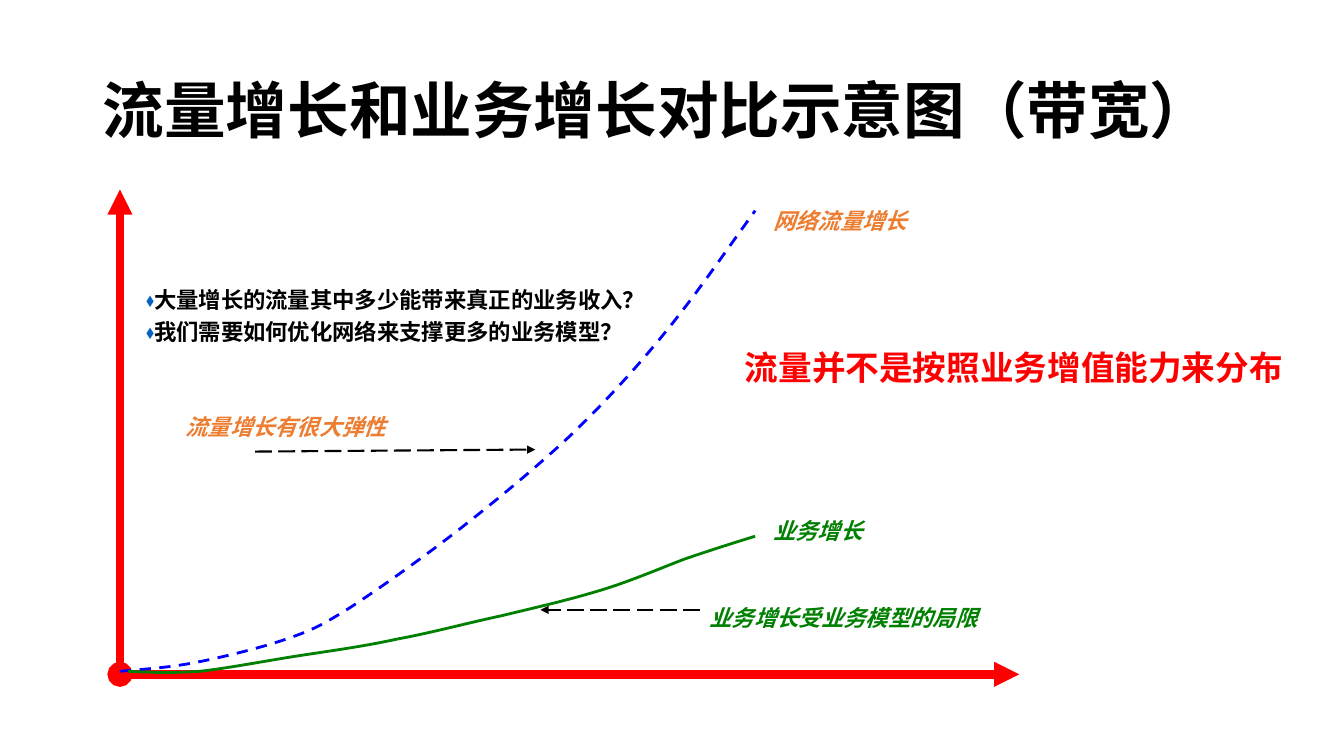
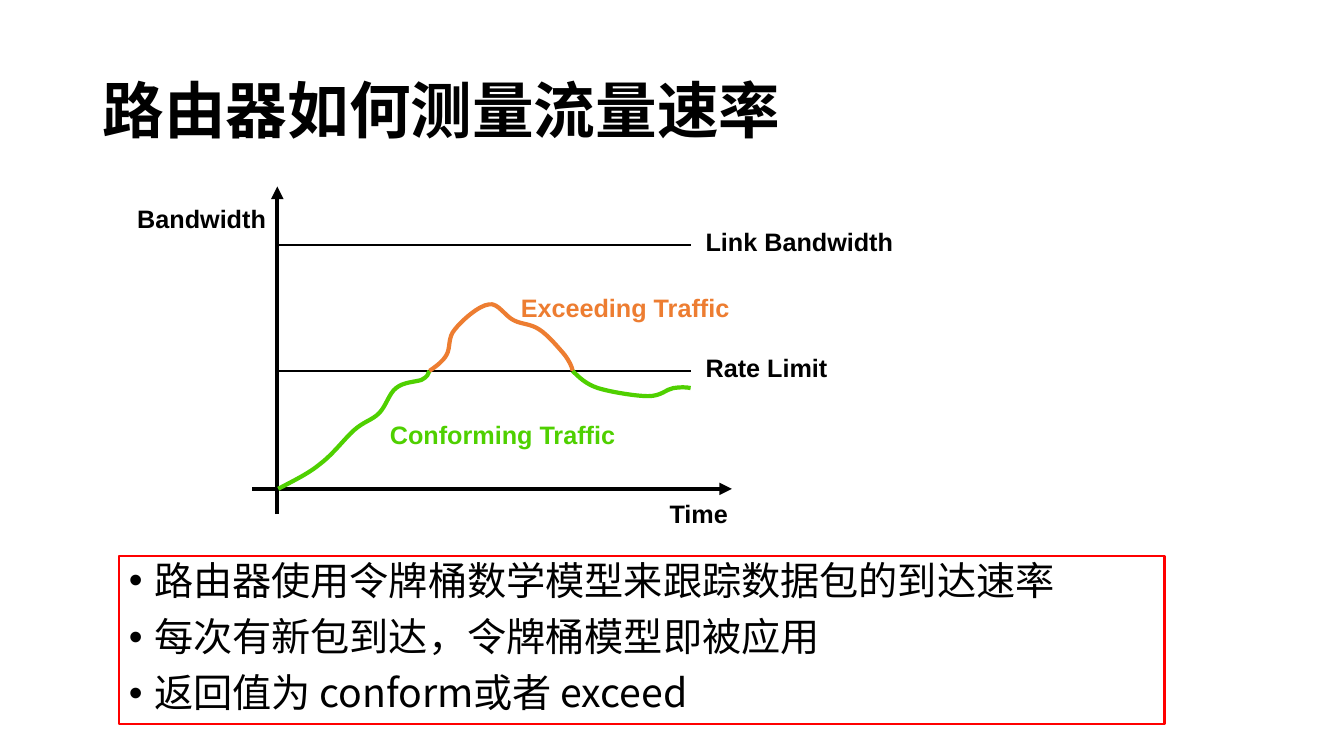
from dataclasses import dataclass
from typing import Any, Optional

import lxml.etree
import pptx
import pptx.dml.color
import pptx.enum.dml
import pptx.enum.shapes
import pptx.enum.text
import pptx.oxml.ns
import pptx.slide
import pptx.text.text
import pptx.util

# Shared scale, colours and text styles
PX = 9144  # EMU, 100 px to the inch
SLIDE_SIZE = (1333, 750)

BLACK, RED, ORANGE = "000000", "FF0000", "ED7D31"
BLUE, GREEN, LIME, BULLET_BLUE = "0000FF", "008000", "4FD000", "0563C1"
CJK, LATIN = "Noto Sans CJK SC", "Arial"

ALIGN = pptx.enum.text.PP_ALIGN
ANCHOR = pptx.enum.text.MSO_ANCHOR
FIT = pptx.enum.text.MSO_AUTO_SIZE
DASH = pptx.enum.dml.MSO_LINE


@dataclass(frozen=True)
class TextStyle:
    font: dict[str, Any]
    paragraph: dict[str, Any]


def text_style(name: str, size: int, bold: bool = True, italic: bool = False,
               **paragraph: Any) -> TextStyle:
    font = {"name": name, "size": pptx.util.Pt(size), "bold": bold, "italic": italic}
    return TextStyle(font, {"alignment": ALIGN.LEFT} | paragraph)


NOTE_SPACING = {"line_spacing": 0.9, "space_before": pptx.util.Pt(5.6)}
TITLE = text_style(CJK, 44, line_spacing=0.9)
NOTE = text_style(CJK, 16, italic=True, **NOTE_SPACING)
QUESTION = text_style(CJK, 16, **NOTE_SPACING)
MESSAGE = text_style(CJK, 24)
LABEL = text_style(LATIN, 18)
LABEL_CENTRED = text_style(LATIN, 18, alignment=ALIGN.CENTER)
POINT = text_style(CJK, 28, bold=False, line_spacing=0.9,
                   space_before=pptx.util.Pt(10))


@dataclass(frozen=True)
class Bullet:
    char: str
    color: str = BLACK
    percent: int = 100
    indent: int = 0


@dataclass(frozen=True)
class Label:
    box: tuple[int, int, int, int]
    lines: tuple[str, ...]
    style: TextStyle
    color: str = BLACK
    wrap: bool = False
    anchor: Any = ANCHOR.TOP
    fit: Any = FIT.SHAPE_TO_FIT_TEXT
    bullet: Optional[Bullet] = None
    border: Optional[str] = None


@dataclass(frozen=True)
class Stroke:
    color: str
    width: float
    dash: Any = None
    head: Optional[str] = None
    tail: Optional[str] = None


@dataclass(frozen=True)
class Line:
    start: tuple[int, int]
    end: tuple[int, int]
    stroke: Stroke


@dataclass(frozen=True)
class Curve:
    """A start point, then two control points and an end point per segment."""
    points: tuple[tuple[int, int], ...]
    stroke: Stroke


# Drawing helpers
def rgb(color: str) -> pptx.dml.color.RGBColor:
    return pptx.dml.color.RGBColor.from_string(color)


def emu(*lengths: int) -> list[int]:
    return [length * PX for length in lengths]


def set_all(target: Any, values: dict[str, Any]) -> None:
    for attribute, value in values.items():
        setattr(target, attribute, value)


def add_xml(parent: Any, tag: str, **attributes: str) -> Any:
    return lxml.etree.SubElement(parent, pptx.oxml.ns.qn(tag), attributes)


def apply_stroke(shape: Any, stroke: Stroke) -> None:
    line = shape.line
    line.color.rgb = rgb(stroke.color)
    line.width = pptx.util.Pt(stroke.width)
    if stroke.dash is not None:
        line.dash_style = stroke.dash
    ln = shape._element.spPr.find(pptx.oxml.ns.qn("a:ln"))
    for tag, kind in (("a:headEnd", stroke.head), ("a:tailEnd", stroke.tail)):
        if kind:
            add_xml(ln, tag, type=kind)


def add_bullet(paragraph: pptx.text.text._Paragraph, bullet: Bullet) -> None:
    properties = paragraph._p.get_or_add_pPr()
    indent = emu(bullet.indent)[0]
    properties.set("marL", str(indent))
    properties.set("indent", str(-indent))
    add_xml(add_xml(properties, "a:buClr"), "a:srgbClr", val=bullet.color)
    add_xml(properties, "a:buSzPct", val=str(bullet.percent * 1000))
    add_xml(properties, "a:buFont", typeface=LATIN)
    add_xml(properties, "a:buChar", char=bullet.char)


def draw_label(slide: pptx.slide.Slide, label: Label) -> None:
    if label.border:
        shape = slide.shapes.add_shape(
            pptx.enum.shapes.MSO_SHAPE.RECTANGLE, *emu(*label.box))
        shape.shadow.inherit = False
        shape.fill.background()
        apply_stroke(shape, Stroke(label.border, 1.5))
    else:
        shape = slide.shapes.add_textbox(*emu(*label.box))
    frame = shape.text_frame
    set_all(frame, {"word_wrap": label.wrap, "vertical_anchor": label.anchor,
                    "auto_size": label.fit})
    for index, text in enumerate(label.lines):
        paragraph = frame.add_paragraph() if index else frame.paragraphs[0]
        set_all(paragraph, label.style.paragraph)
        if label.bullet:
            add_bullet(paragraph, label.bullet)
        run = paragraph.add_run()
        run.text = text
        set_all(run.font, label.style.font)
        run.font.color.rgb = rgb(label.color)
        add_xml(run._r.get_or_add_rPr(), "a:ea", typeface=label.style.font["name"])


def draw_line(slide: pptx.slide.Slide, line: Line) -> None:
    connector = slide.shapes.add_connector(
        pptx.enum.shapes.MSO_CONNECTOR.STRAIGHT, *emu(*line.start, *line.end))
    apply_stroke(connector, line.stroke)
    add_xml(connector._element.spPr, "a:effectLst")


def draw_curve(slide: pptx.slide.Slide, curve: Curve) -> None:
    points = [emu(*point) for point in curve.points]
    builder = slide.shapes.build_freeform(*points[0])
    builder.add_line_segments(points[3::3], close=False)
    shape = builder.convert_to_shape()
    # Bend each straight segment with its two control points
    segments = list(shape._element.iter(pptx.oxml.ns.qn("a:lnTo")))
    for index, segment in enumerate(segments):
        segment.tag = pptx.oxml.ns.qn("a:cubicBezTo")
        segment.clear()
        for x, y in points[3 * index + 1:3 * index + 4]:
            add_xml(segment, "a:pt", x=str(x - shape.left), y=str(y - shape.top))
    shape.shadow.inherit = False
    shape.fill.background()
    apply_stroke(shape, curve.stroke)


DRAWERS = {Label: draw_label, Line: draw_line, Curve: draw_curve}


def add_slide(deck: Any, title: str, parts: tuple[Any, ...]) -> None:
    slide = deck.slides.add_slide(deck.slide_layouts[6])
    heading = Label((92, 40, 1150, 145), (title,), TITLE, wrap=True,
                    anchor=ANCHOR.MIDDLE, fit=FIT.NONE)
    for part in (heading, *parts):
        DRAWERS[type(part)](slide, part)


# Slide 1: traffic growth against business growth
POINTER = Stroke(BLACK, 1.5, DASH.LONG_DASH, tail="triangle")
GROWTH = (
    Line((119, 663), (119, 188), Stroke(RED, 6, tail="triangle")),
    Line((119, 669), (1011, 669), Stroke(RED, 6, head="oval", tail="triangle")),
    Label((757, 511, 110, 34), ("业务增长",), NOTE, GREEN),
    Label((694, 597, 315, 34), ("业务增长受业务模型的局限",), NOTE, GREEN, wrap=True),
    Label((174, 408, 268, 34), ("流量增长有很大弹性",), NOTE, ORANGE, wrap=True),
    Label((757, 204, 155, 34), ("网络流量增长",), NOTE, ORANGE),
    Line((253, 448), (531, 446), POINTER),
    Line((694, 605), (536, 605), POINTER),
    Curve(((119, 666), (140, 664), (162, 663), (190, 658),
           (217, 653), (258, 643), (284, 634), (310, 625), (318, 621), (347, 603),
           (376, 584), (420, 553), (457, 524), (494, 495), (534, 462), (568, 430),
           (602, 397), (632, 364), (662, 327), (692, 290), (720, 249), (749, 209)),
          Stroke(BLUE, 2, DASH.DASH)),
    Curve(((127, 666), (148, 667), (169, 668), (198, 666),
           (226, 663), (267, 655), (300, 650), (333, 645), (362, 641), (394, 634),
           (427, 628), (464, 618), (497, 611), (530, 603), (561, 596), (591, 587),
           (622, 578), (652, 565), (678, 555), (704, 546), (736, 536), (749, 532)),
          Stroke(GREEN, 2)),
    Label((135, 282, 551, 68),
          ("大量增长的流量其中多少能带来真正的业务收入？",
           "我们需要如何优化网络来支撑更多的业务模型？"),
          QUESTION, wrap=True, bullet=Bullet("⬧", BULLET_BLUE, 80)),
    Label((729, 339, 559, 50), ("流量并不是按照业务增值能力来分布",), MESSAGE, RED),
)

# Slide 2: how a router measures the rate
AXIS = Stroke(BLACK, 3, tail="triangle")
LEVELS = tuple(
    part
    for y, name, width in ((243, "Link Bandwidth", 207), (368, "Rate Limit", 141))
    for part in (Line((276, y), (685, y), Stroke(BLACK, 1)),
                 Label((690, y - 23, width, 40), (name,), LABEL))
)
CONFORMING, EXCEEDING = Stroke(LIME, 3), Stroke(ORANGE, 3)
RATE = (
    Line((275, 510), (275, 185), AXIS),
    Line((250, 485), (726, 485), AXIS),
    Label((126, 197, 148, 40), ("Bandwidth",), LABEL_CENTRED),
    Label((654, 489, 78, 40), ("Time",), LABEL_CENTRED),
    *LEVELS,
    Curve(((276, 485), (291, 477), (306, 470), (318, 460),
           (331, 450), (342, 435), (351, 427), (361, 418), (369, 417), (376, 410),
           (383, 403), (386, 390), (393, 385), (400, 379), (412, 379), (418, 377),
           (424, 374), (425, 371), (426, 368)), CONFORMING),
    Curve(((426, 368), (433, 363), (439, 359), (443, 352),
           (447, 345), (444, 335), (451, 327), (458, 318), (475, 303), (485, 302),
           (494, 300), (501, 314), (510, 318), (518, 322), (526, 321), (535, 327),
           (543, 332), (554, 345), (560, 352), (565, 359), (567, 363), (568, 368)),
          EXCEEDING),
    Curve(((568, 368), (574, 374), (581, 381), (593, 385),
           (606, 389), (631, 393), (643, 393), (656, 393), (661, 386), (668, 385),
           (675, 384), (680, 384), (685, 385)), CONFORMING),
    Label((506, 285, 228, 40), ("Exceeding Traffic",), LABEL_CENTRED, ORANGE),
    Label((376, 411, 245, 40), ("Conforming Traffic",), LABEL_CENTRED, LIME),
    Label((118, 552, 1037, 166),
          ("路由器使用令牌桶数学模型来跟踪数据包的到达速率",
           "每次有新包到达，令牌桶模型即被应用",
           "返回值为 conform或者 exceed"),
          POINT, wrap=True, fit=FIT.NONE, bullet=Bullet("•", indent=25), border=RED),
)


def main() -> None:
    deck = pptx.Presentation()
    deck.slide_width, deck.slide_height = emu(*SLIDE_SIZE)
    add_slide(deck, "流量增长和业务增长对比示意图（带宽）", GROWTH)
    add_slide(deck, "路由器如何测量流量速率", RATE)
    deck.save("out.pptx")


if __name__ == "__main__":
    main()
